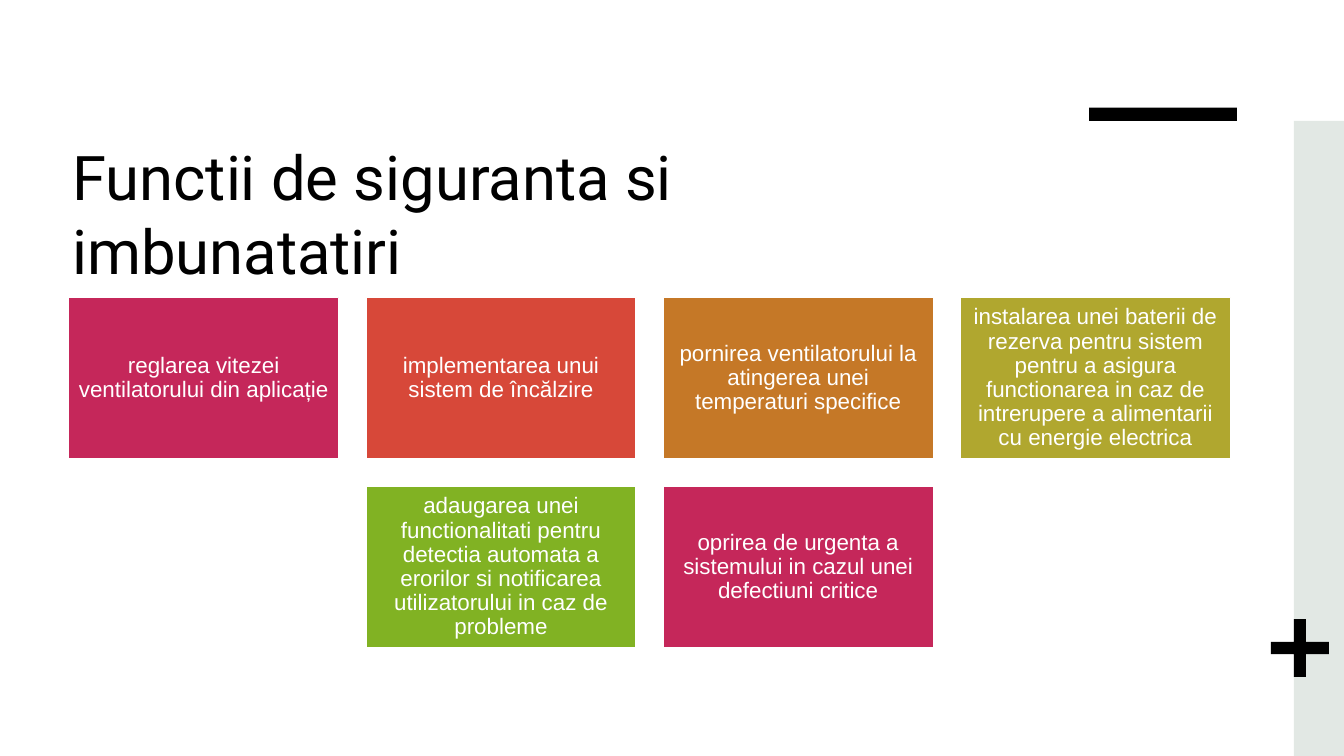
"""Build the slide on safety functions and improvements."""
from pptx import Presentation
from pptx.dml.color import RGBColor
from pptx.enum.shapes import MSO_SHAPE
from pptx.enum.text import MSO_ANCHOR, MSO_AUTO_SIZE, PP_ALIGN
from pptx.util import Cm, Pt

RECTANGLE, PLUS = MSO_SHAPE.RECTANGLE, MSO_SHAPE.CROSS
MIDDLE, NO_AUTOFIT = MSO_ANCHOR.MIDDLE, MSO_AUTO_SIZE.NONE
LEFT, CENTER = PP_ALIGN.LEFT, PP_ALIGN.CENTER

BLACK = RGBColor(0x00, 0x00, 0x00)
WHITE = RGBColor(0xFF, 0xFF, 0xFF)
MIST = RGBColor(0xE2, 0xE8, 0xE4)
CRIMSON = RGBColor(0xC5, 0x27, 0x5A)
RED = RGBColor(0xD7, 0x48, 0x39)
ORANGE = RGBColor(0xC5, 0x78, 0x27)
OLIVE = RGBColor(0xB0, 0xA7, 0x2F)
GREEN = RGBColor(0x81, 0xB2, 0x23)

TITLE = "Functii de siguranta si imbunatatiri"
FUNCTION_ROWS = [
    [
        ("reglarea vitezei ventilatorului din aplicație", CRIMSON),
        ("implementarea unui sistem de încălzire", RED),
        ("pornirea ventilatorului la atingerea unei temperaturi specifice", ORANGE),
        ("instalarea unei baterii de rezerva pentru sistem pentru a asigura "
         "functionarea in caz de intrerupere a alimentarii cu energie electrica", OLIVE),
    ],
    [
        ("adaugarea unei functionalitati pentru detectia automata a erorilor "
         "si notificarea utilizatorului in caz de probleme", GREEN),
        ("oprirea de urgenta a sistemului in cazul unei defectiuni critice", CRIMSON),
    ],
]

CARD_WIDTH, CARD_HEIGHT, CARD_GAP = 6.81, 4.08, 0.68
GRID_LEFT, GRID_TOP = 1.73, 7.49
CARD_INSET = Cm(0.17)


def add_block(slide, kind, left, top, width, height, color):
    """Add a flat filled shape without an outline, measured in centimetres."""
    block = slide.shapes.add_shape(kind, Cm(left), Cm(top), Cm(width), Cm(height))
    block.shadow.inherit = False
    block.fill.solid()
    block.fill.fore_color.rgb = color
    block.line.fill.background()
    return block


def style_text(paragraph, font_name, size, color, alignment):
    """Apply font and alignment to a paragraph."""
    paragraph.alignment = alignment
    paragraph.font.name = font_name
    paragraph.font.size = Pt(size)
    paragraph.font.color.rgb = color


def add_title(slide):
    """Place and format the title."""
    title = slide.shapes.title
    title.left, title.top, title.width, title.height = Cm(1.57), Cm(3.35), Cm(22.96), Cm(4.01)
    frame = title.text_frame
    frame.text = TITLE
    frame.auto_size = NO_AUTOFIT
    frame.vertical_anchor = MIDDLE
    style_text(frame.paragraphs[0], "Roboto", 44, BLACK, LEFT)


def add_card(slide, left, top, wording, color):
    """Add one function card."""
    card = add_block(slide, RECTANGLE, left, top, CARD_WIDTH, CARD_HEIGHT, color)
    card.line.color.rgb = WHITE
    card.line.width = Pt(1)
    frame = card.text_frame
    frame.word_wrap = True
    frame.vertical_anchor = MIDDLE
    frame.margin_left = frame.margin_right = CARD_INSET
    frame.margin_top = frame.margin_bottom = CARD_INSET
    frame.text = wording
    frame.paragraphs[0].line_spacing = 0.9
    style_text(frame.paragraphs[0], "Arial", 16, WHITE, CENTER)


def main():
    """Assemble and save the slide."""
    deck = Presentation()
    deck.slide_width, deck.slide_height = Cm(33.87), Cm(19.05)
    slide = deck.slides.add_slide(deck.slide_layouts[5])
    add_title(slide)

    add_block(slide, RECTANGLE, 32.61, 3.05, 1.26, 16, MIST)
    add_block(slide, RECTANGLE, 27.45, 2.71, 3.72, 0.34, BLACK)
    plus = add_block(slide, PLUS, 32.03, 15.6, 1.46, 1.46, BLACK)
    plus.adjustments[0] = 0.395

    column_step, row_step = CARD_WIDTH + CARD_GAP, CARD_HEIGHT + CARD_GAP
    columns = max(len(row) for row in FUNCTION_ROWS)
    for row_index, row in enumerate(FUNCTION_ROWS):
        row_left = GRID_LEFT + (columns - len(row)) / 2 * column_step
        for column, (wording, color) in enumerate(row):
            add_card(slide, row_left + column * column_step,
                     GRID_TOP + row_index * row_step, wording, color)

    deck.save("out.pptx")


if __name__ == "__main__":
    main()
